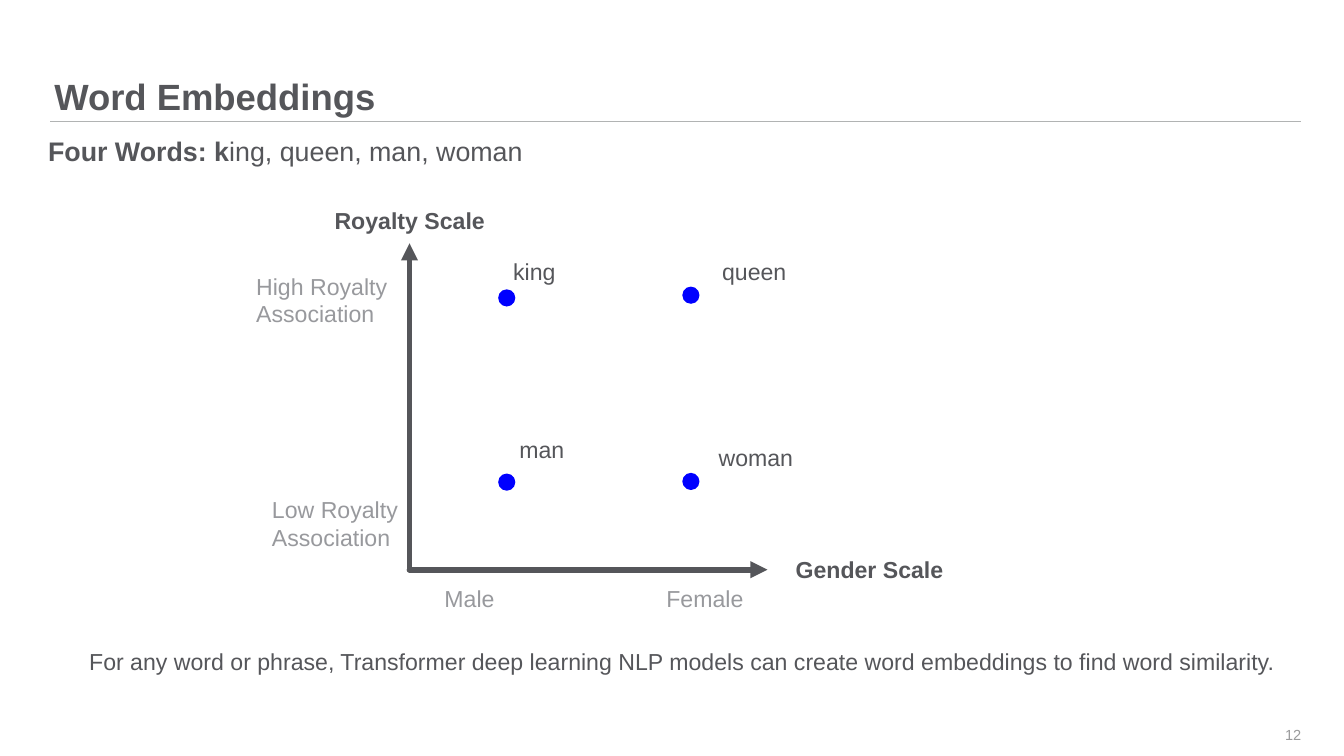
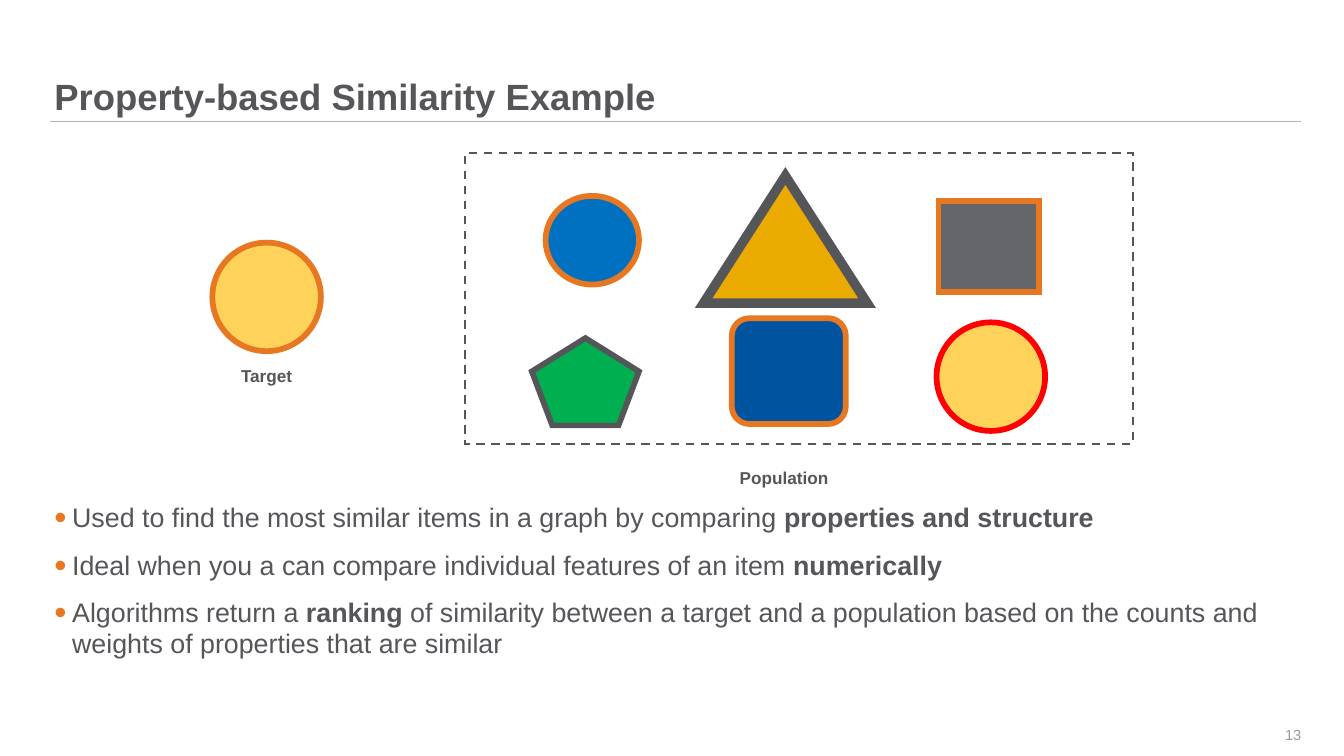
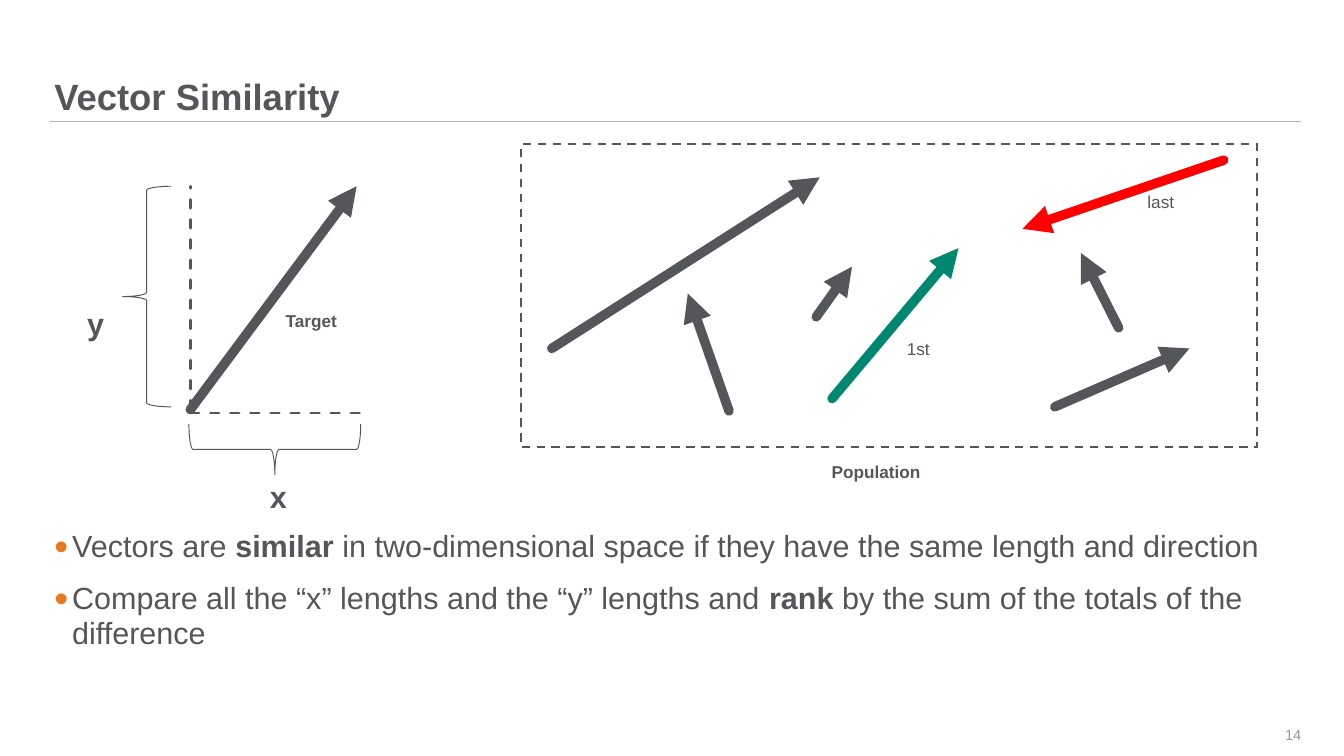
from dataclasses import dataclass, field
from typing import Any

from lxml.etree import SubElement
from pptx import Presentation
from pptx.dml.color import RGBColor
from pptx.enum.dml import MSO_LINE
from pptx.enum.shapes import MSO_CONNECTOR, MSO_SHAPE
from pptx.enum.text import MSO_ANCHOR, MSO_AUTO_SIZE, PP_ALIGN
from pptx.oxml.ns import qn
from pptx.slide import Slide
from pptx.util import Inches, Pt

FONT = "Arial"
DARK = "55565A"
RULE_GRAY = "B1B3B3"
NUMBER_GRAY = "999A9B"
SCALE_GRAY = "98999D"
ORANGE = "E87722"
YELLOW = "FFD259"
RED = "FF0000"
BLUE = "0000FF"
GREEN = "008770"

BODY_LEFT = 0.79
BODY_WIDTH = 18.15
BULLET_INDENT = 0.26
FIRST_NUMBER = 12
DOT_SIZE = 0.25

TITLE_FORMAT = {"line_spacing": 0.9}
BODY_FORMAT = {"line_spacing": 0.95, "space_after": Pt(7.7)}


@dataclass
class Label:
    text: str
    left: float
    top: float
    width: float
    height: float
    size: float = 24.2
    color: str = DARK
    bold: bool = False
    wrap: bool = False
    inset: bool = True
    bullet: bool = False
    anchor: MSO_ANCHOR = MSO_ANCHOR.TOP
    space_before: float = 0
    paragraph_format: dict[str, Any] = field(default_factory=dict)


@dataclass
class Figure:
    kind: MSO_SHAPE
    left: float
    top: float
    width: float
    height: float
    fill: str | None = None
    line: str | None = ORANGE
    weight: float = 6
    dashed: bool = False
    rotation: float = 0


@dataclass
class Stroke:
    start: tuple[float, float]
    end: tuple[float, float]
    color: str = DARK
    weight: float = 10
    arrow: bool = True
    dashed: bool = False
    round_cap: bool = True


def rgb(color: str) -> RGBColor:
    return RGBColor.from_string(color)


def apply_format(target: Any, values: dict[str, Any]) -> None:
    for name, value in values.items():
        setattr(target, name, value)


def add_bullet(paragraph: Any) -> None:
    properties = paragraph._p.get_or_add_pPr()
    properties.set("marL", str(Inches(BULLET_INDENT)))
    properties.set("indent", str(-Inches(BULLET_INDENT)))
    bullet_color = SubElement(properties, qn("a:buClr"))
    SubElement(bullet_color, qn("a:srgbClr"), val=ORANGE)
    SubElement(properties, qn("a:buSzPct"), val="130000")
    SubElement(properties, qn("a:buFont"), typeface=FONT)
    SubElement(properties, qn("a:buChar"), char="•")


def draw_label(slide: Slide, label: Label) -> None:
    box = slide.shapes.add_textbox(
        Inches(label.left), Inches(label.top), Inches(label.width), Inches(label.height)
    )
    frame = box.text_frame
    apply_format(frame, {
        "word_wrap": label.wrap,
        "auto_size": MSO_AUTO_SIZE.SHAPE_TO_FIT_TEXT if label.inset else MSO_AUTO_SIZE.NONE,
        "vertical_anchor": label.anchor,
    })
    if not label.inset:
        apply_format(frame, dict.fromkeys(
            ("margin_left", "margin_top", "margin_right", "margin_bottom"), 0
        ))
    for index, line in enumerate(label.text.split("\n")):
        paragraph = frame.add_paragraph() if index else frame.paragraphs[0]
        if label.bullet:
            add_bullet(paragraph)
        apply_format(paragraph, label.paragraph_format)
        if index and label.space_before:
            paragraph.space_before = Pt(label.space_before)
        for position, part in enumerate(line.split("**")):
            if not part:
                continue
            run = paragraph.add_run()
            run.text = part
            apply_format(run.font, {
                "name": FONT,
                "size": Pt(label.size),
                "bold": label.bold or position % 2 == 1,
            })
            run.font.color.rgb = rgb(label.color)


def draw_figure(slide: Slide, figure: Figure) -> None:
    shape = slide.shapes.add_shape(
        figure.kind,
        Inches(figure.left), Inches(figure.top), Inches(figure.width), Inches(figure.height),
    )
    shape.shadow.inherit = False
    shape.rotation = figure.rotation
    if figure.fill:
        shape.fill.solid()
        shape.fill.fore_color.rgb = rgb(figure.fill)
    else:
        shape.fill.background()
    if not figure.line:
        shape.line.fill.background()
        return
    shape.line.color.rgb = rgb(figure.line)
    shape.line.width = Pt(figure.weight)
    if figure.dashed:
        shape.line.dash_style = MSO_LINE.DASH
    SubElement(shape._element.spPr.find(qn("a:ln")), qn("a:miter"), lim="800000")


def draw_stroke(slide: Slide, stroke: Stroke) -> None:
    connector = slide.shapes.add_connector(
        MSO_CONNECTOR.STRAIGHT, *(Inches(value) for value in stroke.start + stroke.end)
    )
    connector.line.color.rgb = rgb(stroke.color)
    connector.line.width = Pt(stroke.weight)
    if stroke.dashed:
        connector.line.dash_style = MSO_LINE.DASH
    properties = connector._element.spPr
    outline = properties.find(qn("a:ln"))
    if stroke.round_cap:
        outline.set("cap", "rnd")
    if stroke.arrow:
        SubElement(outline, qn("a:tailEnd"), type="triangle")
    SubElement(properties, qn("a:effectLst"))


def draw_bullets(slide: Slide, text: str, top: float, height: float, size: float) -> None:
    draw_label(slide, Label(
        text, BODY_LEFT, top, BODY_WIDTH, height, size, wrap=True, inset=False,
        bullet=True, space_before=10.2, paragraph_format=BODY_FORMAT,
    ))


def draw_caption(slide: Slide, text: str, left: float, top: float, width: float) -> None:
    draw_label(slide, Label(
        text, left, top, width, 0.4, 18, bold=True, wrap=True,
        paragraph_format={"alignment": PP_ALIGN.CENTER},
    ))


def draw_population_frame(
    slide: Slide, left: float, top: float, width: float, height: float
) -> None:
    draw_figure(slide, Figure(
        MSO_SHAPE.RECTANGLE, left, top, width, height, line=DARK, weight=2.25, dashed=True
    ))


def draw_frame(slide: Slide, title: str, number: int) -> None:
    draw_stroke(slide, Stroke(
        (0.73, 1.77), (18.94, 1.77), RULE_GRAY, 1, arrow=False, round_cap=False
    ))
    draw_label(slide, Label(
        title, BODY_LEFT, 0, BODY_WIDTH, 1.72, 38.2, bold=True, wrap=True, inset=False,
        anchor=MSO_ANCHOR.BOTTOM, paragraph_format=TITLE_FORMAT,
    ))
    draw_label(slide, Label(
        str(number), 18.07, 10.4, 0.87, 0.59, 15.3, NUMBER_GRAY, wrap=True, inset=False,
        anchor=MSO_ANCHOR.MIDDLE, paragraph_format={"alignment": PP_ALIGN.RIGHT},
    ))


def draw_word_embeddings(slide: Slide) -> None:
    draw_label(slide, Label(
        "**Four Words: k**ing, queen, man, woman", 0.7, 2, BODY_WIDTH, 0.59, 28.1,
        wrap=True, inset=False, paragraph_format=BODY_FORMAT,
    ))
    origin = (5.96, 8.29)
    for axis_end in ((5.96, 3.54), (11.17, 8.29)):
        draw_stroke(slide, Stroke(origin, axis_end, weight=6))
    for label in (
        Label("Royalty Scale", 4.77, 2.95, 2.41, 0.51, bold=True),
        Label("Gender Scale", 11.48, 8.03, 2.37, 0.51, bold=True),
        Label("Male", 6.37, 8.45, 0.94, 0.51, color=SCALE_GRAY),
        Label("Female", 9.6, 8.45, 1.33, 0.51, color=SCALE_GRAY),
        Label("High Royalty\nAssociation", 3.63, 3.91, 2.13, 0.92, color=SCALE_GRAY),
        Label("Low Royalty\nAssociation", 3.86, 7.16, 2.05, 0.92, color=SCALE_GRAY),
        Label("king", 7.37, 3.69, 0.83, 0.51),
        Label("queen", 10.41, 3.69, 1.15, 0.51),
        Label("man", 7.46, 6.28, 0.86, 0.51),
        Label("woman", 10.36, 6.4, 1.3, 0.51),
        Label(
            "For any word or phrase, Transformer deep learning NLP models can create "
            "word embeddings to find word similarity.",
            1.2, 9.37, 17.63, 0.51,
        ),
    ):
        draw_label(slide, label)
    for left, top in ((7.25, 4.21), (9.93, 4.17), (7.25, 6.89), (9.93, 6.88)):
        draw_figure(slide, Figure(
            MSO_SHAPE.OVAL, left, top, DOT_SIZE, DOT_SIZE, BLUE, line=None
        ))


def draw_property_similarity(slide: Slide) -> None:
    draw_bullets(
        slide,
        "Used to find the most similar items in a graph by comparing "
        "**properties and structure**\n"
        "Ideal when you a can compare individual features of an item **numerically**\n"
        "Algorithms return a **ranking** of similarity between a target and a population "
        "based on the counts and weights of properties that are similar",
        7.32, 2.72, 28.1,
    )
    draw_population_frame(slide, 6.77, 2.23, 9.72, 4.23)
    for figure in (
        Figure(MSO_SHAPE.OVAL, 3.09, 3.53, 1.58, 1.58, YELLOW),
        Figure(MSO_SHAPE.OVAL, 7.94, 2.85, 1.36, 1.29, "0070C0"),
        Figure(MSO_SHAPE.ISOSCELES_TRIANGLE, 10.24, 2.56, 2.38, 1.85, "EAAA00", DARK, 10),
        Figure(MSO_SHAPE.RECTANGLE, 13.66, 2.92, 1.46, 1.33, "63666A"),
        Figure(MSO_SHAPE.REGULAR_PENTAGON, 7.74, 4.92, 1.56, 1.27, "00B050", DARK),
        Figure(MSO_SHAPE.ROUNDED_RECTANGLE, 10.65, 4.63, 1.66, 1.54, "00549F"),
        Figure(MSO_SHAPE.OVAL, 13.63, 4.69, 1.58, 1.58, YELLOW, RED),
    ):
        draw_figure(slide, figure)
    draw_caption(slide, "Target", 3.09, 5.26, 1.58)
    draw_caption(slide, "Population", 10.2, 6.75, 2.42)


def draw_vector_similarity(slide: Slide) -> None:
    draw_bullets(
        slide,
        "Vectors are **similar** in two-dimensional space if they have the same length "
        "and direction\n"
        "Compare all the “x” lengths and the “y” lengths and **rank** by the sum of the "
        "totals of the difference",
        7.71, 1.77, 32,
    )
    for stroke in (
        Stroke((2.77, 5.96), (5.19, 2.71)),
        Stroke((8.03, 5.07), (11.93, 2.58)),
        Stroke((10.61, 5.98), (10.01, 4.27)),
        Stroke((12.11, 5.8), (13.95, 3.61), GREEN),
        Stroke((15.35, 5.92), (17.31, 5.07)),
        Stroke((17.81, 2.33), (14.88, 3.33), RED),
        Stroke((11.88, 4.61), (12.4, 3.88)),
        Stroke((16.28, 4.77), (15.73, 3.68)),
        Stroke((2.77, 6.01), (5.37, 6.01), weight=3, arrow=False, dashed=True),
        Stroke((2.77, 5.95), (2.77, 2.71), weight=3, arrow=False, dashed=True),
    ):
        draw_stroke(slide, stroke)
    draw_population_frame(slide, 7.58, 2.1, 10.72, 4.41)
    for brace in (
        Figure(MSO_SHAPE.LEFT_BRACE, 1.78, 2.71, 0.71, 3.21, line=DARK, weight=1),
        Figure(MSO_SHAPE.LEFT_BRACE, 3.63, 5.29, 0.74, 2.5, line=DARK, weight=1, rotation=270),
    ):
        draw_figure(slide, brace)
    for label in (
        Label("y", 1.17, 4.39, 0.45, 0.64, 32, bold=True),
        Label("x", 3.83, 6.91, 0.45, 0.64, 32, bold=True),
        Label("1st", 13.1, 4.87, 0.54, 0.4, 18),
        Label("last", 16.6, 2.74, 0.59, 0.4, 18),
    ):
        draw_label(slide, label)
    draw_caption(slide, "Population", 11.54, 6.67, 2.42)
    draw_caption(slide, "Target", 3.74, 4.47, 1.58)


def main() -> None:
    presentation = Presentation()
    presentation.slide_width = Inches(19.56)
    presentation.slide_height = Inches(11)
    pages = (
        ("Word Embeddings", draw_word_embeddings),
        ("Property-based Similarity Example", draw_property_similarity),
        ("Vector Similarity", draw_vector_similarity),
    )
    for number, (title, draw_content) in enumerate(pages, FIRST_NUMBER):
        slide = presentation.slides.add_slide(presentation.slide_layouts[6])
        draw_frame(slide, title, number)
        draw_content(slide)
    presentation.save("out.pptx")


if __name__ == "__main__":
    main()
